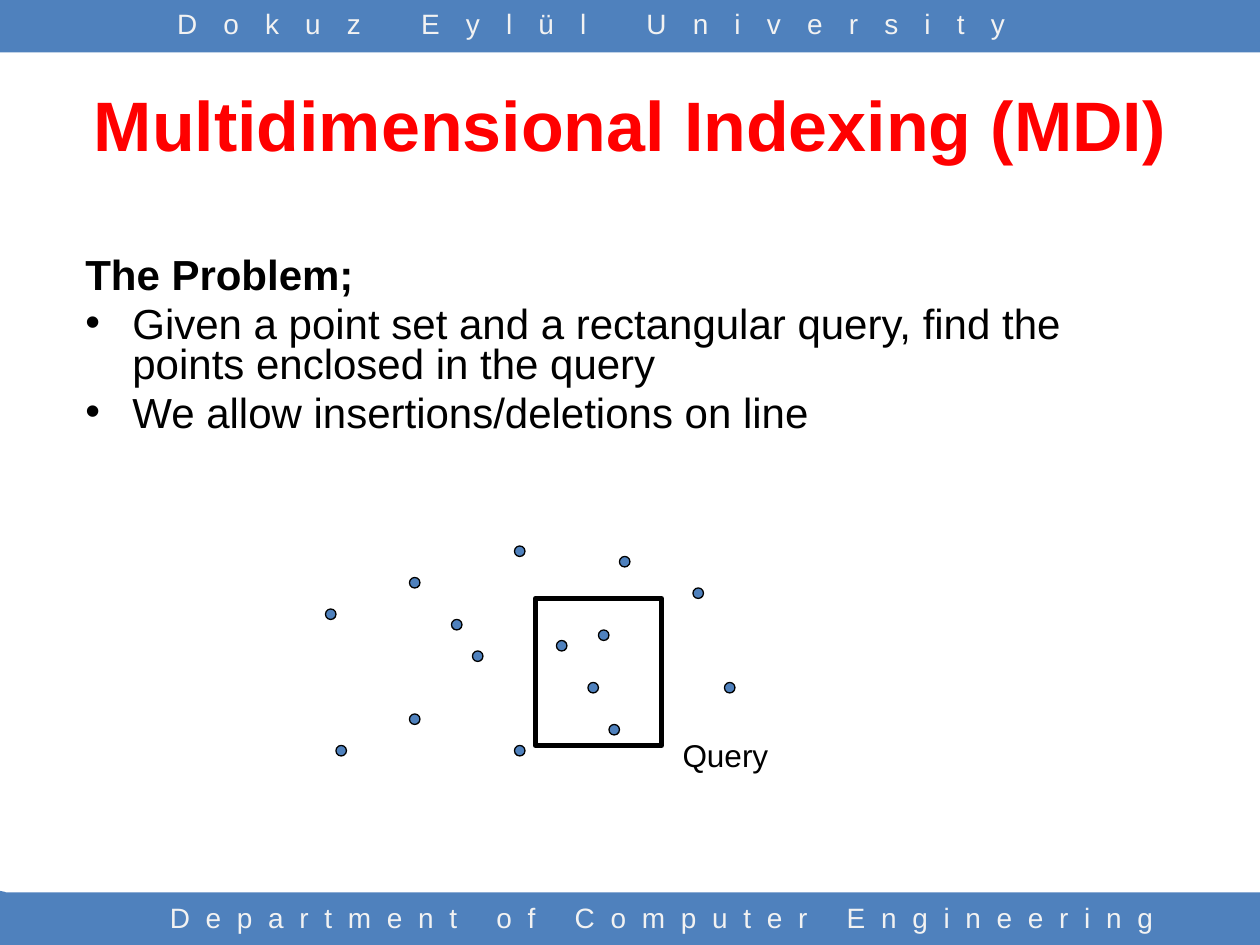
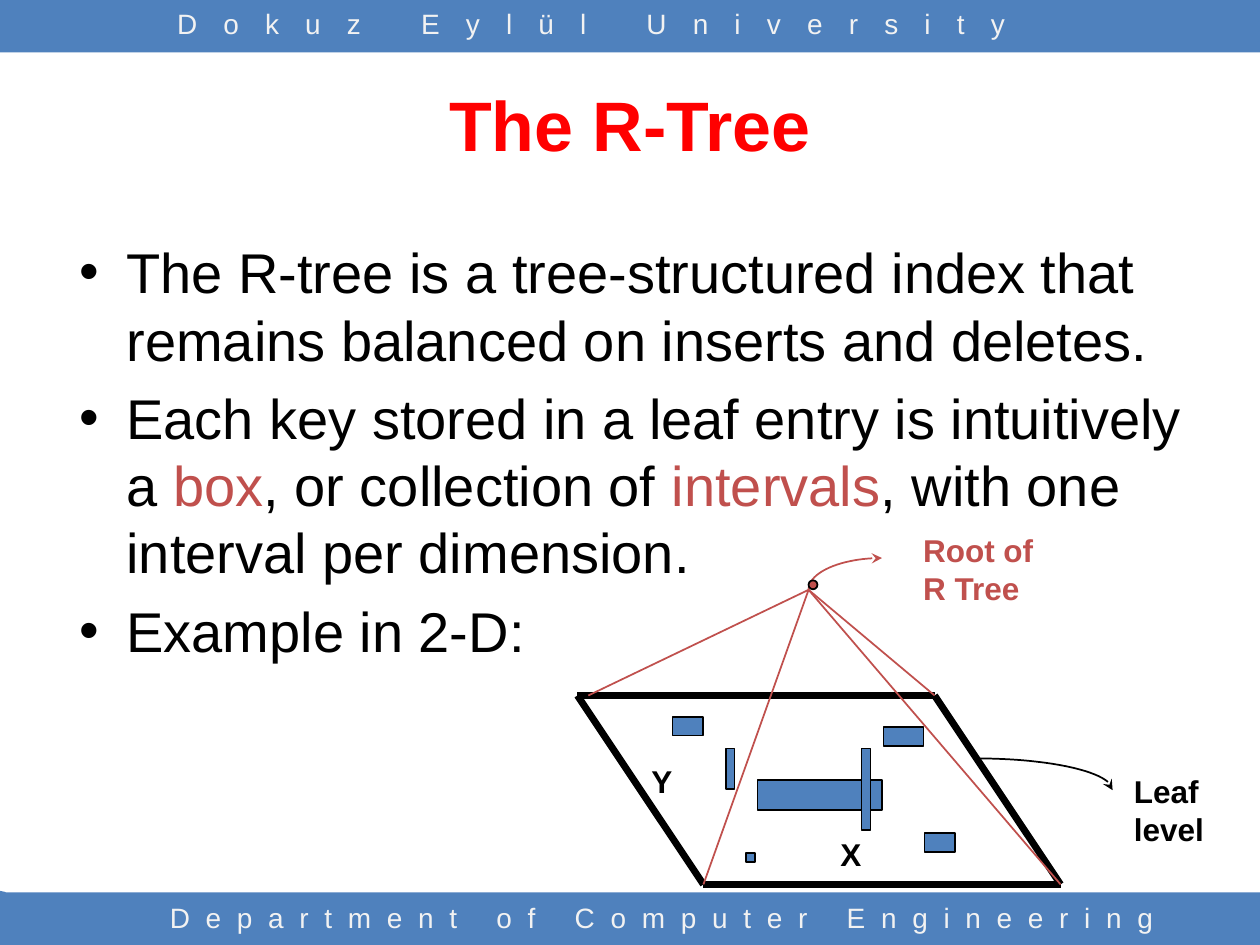
import math

from lxml import etree
from pptx import Presentation
from pptx.dml.color import RGBColor
from pptx.enum.shapes import MSO_CONNECTOR, MSO_SHAPE
from pptx.enum.text import MSO_ANCHOR, PP_ALIGN
from pptx.oxml.ns import qn
from pptx.util import Cm, Pt

RECT, ELLIPSE = MSO_SHAPE.RECTANGLE, MSO_SHAPE.OVAL
STRAIGHT = MSO_CONNECTOR.STRAIGHT
CENTER, LEFT = PP_ALIGN.CENTER, PP_ALIGN.LEFT
MIDDLE, TOP = MSO_ANCHOR.MIDDLE, MSO_ANCHOR.TOP

BLUE = RGBColor(0x4F, 0x81, 0xBD)
BRICK = RGBColor(0xC0, 0x50, 0x4D)
RED = RGBColor(0xFF, 0x00, 0x00)
PALE = RGBColor(0xF2, 0xF2, 0xF2)
BLACK = RGBColor(0x00, 0x00, 0x00)

FONT = "Arial"
SLIDE_W, SLIDE_H, BAND_H = 25.4, 19.05, 1.06
GRID = 2.54 / 12
HANGING = Cm(0.95)

# Left and top of each point, and the query window, in grid steps
POINTS = [(31, 58), (39, 55), (32, 71), (45, 62), (53, 61),
          (56, 65), (43, 59), (58, 69), (57, 60), (49, 52),
          (39, 68), (49, 71), (59, 53), (69, 65), (66, 56)]
QUERY = (51, 57, 12, 14)

# Leaf plane, tree root and indexed boxes, in centimetres
BACK_LEFT, BACK_RIGHT = (11.64, 14.02), (18.84, 14.02)
FRONT_LEFT, FRONT_RIGHT = (14.18, 17.83), (21.38, 17.83)
ROOT = (16.3, 11.89)
LEAF_BOXES = [(13.56, 14.45, 0.61, 0.38), (14.63, 15.09, 0.18, 0.81),
              (15.27, 15.72, 2.51, 0.61), (15.04, 17.2, 0.18, 0.18),
              (17.37, 15.09, 0.18, 1.65), (18.64, 16.79, 0.61, 0.38),
              (17.81, 14.66, 0.81, 0.38)]


class Deck:
    """Holds the lecture style and draws on the current slide, in centimetres."""

    def __init__(self):
        self.prs = Presentation()
        self.prs.slide_width, self.prs.slide_height = Cm(SLIDE_W), Cm(SLIDE_H)
        self.shapes = None

    def new_slide(self, title):
        self.shapes = self.prs.slides.add_slide(self.prs.slide_layouts[6]).shapes
        for top in (0, SLIDE_H - BAND_H):
            self.shape(RECT, (0, top, SLIDE_W, BAND_H), BLUE)
        self.polygon([(0, 17.96), (0.1, 17.98), (1.17, SLIDE_H), (0, SLIDE_H)], BLUE)
        self.text((2.34, 18.03, 22.02, 1.02), [["Department of Computer Engineering"]],
                  16, PALE, align=CENTER, spacing=9)
        self.text((1.65, 0, 20.55, BAND_H), [["Dokuz Eylül University"]],
                  16, PALE, align=CENTER, spacing=15)
        self.text((1.27, 1.04, 22.86, 2.9), [[title]], 40, RED, bold=True,
                  align=CENTER, anchor=MIDDLE)

    def paint(self, shape, fill=None, line=None, width=1):
        shape.shadow.inherit = False
        if fill is None:
            shape.fill.background()
        else:
            shape.fill.solid()
            shape.fill.fore_color.rgb = fill
        if line is None:
            shape.line.fill.background()
        else:
            shape.line.color.rgb = line
            shape.line.width = Pt(width)

    def shape(self, kind, box, fill=None, line=None, width=1):
        self.paint(self.shapes.add_shape(kind, *map(Cm, box)), fill, line, width)

    def outline(self, points, close):
        start, *rest = [(Cm(x), Cm(y)) for x, y in points]
        builder = self.shapes.build_freeform(*start)
        builder.add_line_segments(rest, close=close)
        return builder.convert_to_shape()

    def polygon(self, points, fill):
        self.paint(self.outline(points, True), fill)

    def curved_arrow(self, start, corner, end, color):
        """Draw a quarter ellipse that leaves start, and reaches end, along corner."""
        steps = 24
        angles = [math.pi / 2 * i / steps for i in range(steps + 1)]
        arc = [tuple(c + (s - c) * (1 - math.sin(a)) + (e - c) * (1 - math.cos(a))
                     for s, c, e in zip(start, corner, end)) for a in angles]
        arrow = self.outline(arc, False)
        self.paint(arrow, line=color)
        etree.SubElement(arrow.line._get_or_add_ln(), qn("a:tailEnd"), type="stealth")

    def line(self, start, end, color, width):
        connector = self.shapes.add_connector(STRAIGHT, *map(Cm, start + end))
        connector.line.color.rgb = color
        connector.line.width = Pt(width)
        etree.SubElement(connector._element.spPr, qn("a:effectLst"))

    def text(self, box, paragraphs, size, color=BLACK, bold=False, align=LEFT,
             anchor=TOP, spacing=0, bullets_from=None, line_spacing=None, gap=0):
        """Add a text box; a run is a string or a (string, colour, bold) tuple."""
        frame = self.shapes.add_textbox(*map(Cm, box)).text_frame
        frame.word_wrap = True
        frame.vertical_anchor = anchor
        for index, runs in enumerate(paragraphs):
            paragraph = frame.add_paragraph() if index else frame.paragraphs[0]
            paragraph.alignment = align
            if bullets_from is not None and index >= bullets_from:
                self.bullet(paragraph)
            if line_spacing:
                paragraph.line_spacing = line_spacing
            if index and gap:
                paragraph.space_before = Pt(gap)
            for item in runs:
                words, tint, weight = (item, color, bold) if isinstance(item, str) else item
                run = paragraph.add_run()
                run.text = words
                run.font.name, run.font.size = FONT, Pt(size)
                run.font.bold = weight
                run.font.color.rgb = tint
                if spacing:
                    run.font._element.set("spc", str(spacing * 100))

    def bullet(self, paragraph):
        properties = paragraph._p.get_or_add_pPr()
        properties.set("marL", str(HANGING))
        properties.set("indent", str(-HANGING))
        etree.SubElement(properties, qn("a:buFont"), typeface=FONT)
        etree.SubElement(properties, qn("a:buChar"), char="•")


def indexing_problem(deck):
    deck.new_slide("Multidimensional Indexing (MDI)")
    deck.text((1.47, 5.08, 21.59, 4.24), [
        [("The Problem;", BLACK, True)],
        ["Given a point set and a rectangular query, find the points enclosed in the query"],
        ["We allow insertions/deletions on line"],
    ], 24, bullets_from=1, line_spacing=0.8, gap=4.8)
    for column, row in POINTS:
        deck.shape(ELLIPSE, (column * GRID, row * GRID, GRID, GRID), BLUE, BLACK, 0.75)
    deck.shape(RECT, [steps * GRID for steps in QUERY], line=BLACK, width=3)
    deck.text((13.51, 14.71, 2.77, 1.27), [["Query"]], 18)


def r_tree(deck):
    deck.new_slide("The R-Tree")
    deck.text((1.35, 4.67, 22.86, 13), [
        ["The R-tree is a tree-structured index that remains balanced on inserts and deletes."],
        ["Each key stored in a leaf entry is intuitively a ", ("box", BRICK, False),
         ", or collection of ", ("intervals", BRICK, False),
         ", with one interval per dimension."],
        ["Example in 2-D:"],
    ], 32, bullets_from=0, gap=6.4)

    for start, end in [(FRONT_LEFT, FRONT_RIGHT), (BACK_LEFT, FRONT_LEFT),
                       (BACK_LEFT, BACK_RIGHT), (BACK_RIGHT, FRONT_RIGHT)]:
        deck.line(start, end, BLACK, 4)
    for corner in [(11.86, 14.02), FRONT_LEFT, BACK_RIGHT, FRONT_RIGHT]:
        deck.line(ROOT, corner, BRICK, 1)
    for box in LEAF_BOXES:
        deck.shape(RECT, box, BLUE, BLACK)

    deck.curved_arrow(ROOT, (16.3, 11.25), (17.78, 11.25), BRICK)
    deck.curved_arrow((19.69, 15.29), (22.43, 15.29), (22.43, 15.93), BLACK)
    deck.shape(ELLIPSE, (16.3, 11.7, 0.18, 0.18), BRICK, BLACK)

    for box, lines, color in [((16.69, 16.71, 1.07, 1.27), ["X"], BLACK),
                              ((12.88, 15.24, 1.07, 1.27), ["Y"], BLACK),
                              ((18.36, 10.59, 3.35, 2.29), ["Root of", "R Tree"], BRICK),
                              ((22.61, 15.44, 2.41, 2.29), ["Leaf", "level"], BLACK)]:
        deck.text(box, [[words] for words in lines], 18, color, bold=True)


def main():
    deck = Deck()
    indexing_problem(deck)
    r_tree(deck)
    deck.prs.save("out.pptx")


if __name__ == "__main__":
    main()
